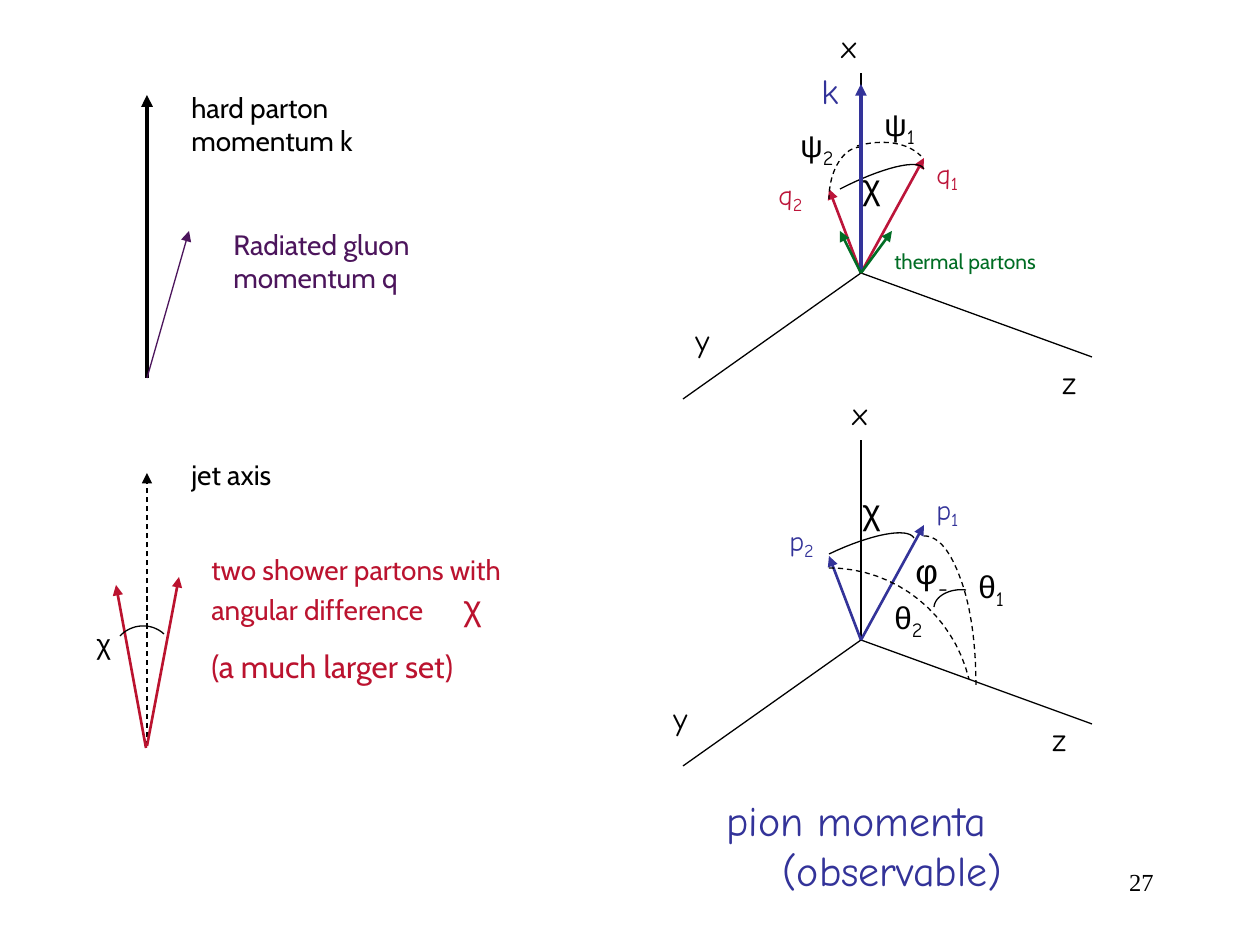
from lxml.etree import SubElement
from pptx import Presentation
from pptx.dml.color import RGBColor
from pptx.enum.dml import MSO_LINE
from pptx.enum.shapes import MSO_CONNECTOR
from pptx.enum.text import PP_ALIGN
from pptx.oxml.ns import qn
from pptx.util import Pt

PX = 914400 / 126
COLORS = {
    "black": "000000", "purple": "4C155C", "red": "BB132F",
    "crimson": "BC153A", "blue": "333399", "green": "006D24",
}
SANS, HAND, GREEK, SERIF = "Cabin", "Comic Neue", "Arial", "Times New Roman"


def emu(px):
    return round(px * PX)


def rgb(name):
    return RGBColor.from_string(COLORS[name])


def bezier(p0, p1, p2, p3, steps=16):
    for i in range(1, steps + 1):
        t = i / steps
        u = 1 - t
        weights = (u**3, 3 * u * u * t, 3 * u * t * t, t**3)
        yield tuple(sum(w * p[axis] for w, p in zip(weights, (p0, p1, p2, p3)))
                    for axis in (0, 1))


class Region:
    """Draws on slide s with lengths in px from the region's top left corner."""

    def __init__(self, s, left, top):
        self.s, self.left, self.top = s, left, top

    def point(self, x, y):
        return emu(self.left + x), emu(self.top + y)

    def style_line(self, sp, color, width, dash):
        sp.line.color.rgb = rgb(color)
        sp.line.width = Pt(width)
        if dash:
            sp.line.dash_style = MSO_LINE.DASH

    def line(self, start, end, color="black", width=0.75, dash=False, arrow=True):
        sp = self.s.shapes.add_connector(
            MSO_CONNECTOR.STRAIGHT, *self.point(*start), *self.point(*end))
        self.style_line(sp, color, width, dash)
        if arrow:
            SubElement(sp.line._get_or_add_ln(), qn("a:tailEnd"), type="triangle")
        SubElement(sp._element.spPr, qn("a:effectLst"))

    def arc(self, *points, dash=False):
        """Draws cubic curves: a start, then three points for each curve."""
        builder = self.s.shapes.build_freeform(*self.point(*points[0]), scale=1.0)
        for i in range(0, len(points) - 1, 3):
            curve = bezier(*points[i:i + 4])
            builder.add_line_segments([self.point(*pt) for pt in curve], close=False)
        sp = builder.convert_to_shape()
        sp.fill.background()
        sp.shadow.inherit = False
        self.style_line(sp, "black", 0.75, dash)

    def text(self, box, *paragraphs, color="black", align=PP_ALIGN.LEFT,
             before=0, indent=0, tab=None):
        """Each paragraph lists runs of (text, size, font[, baseline %]).

        before and indent apply from the second paragraph on.
        """
        x, y, w, h = box
        tf = self.s.shapes.add_textbox(*self.point(x, y), emu(w), emu(h)).text_frame
        tf.word_wrap = True
        for i, runs in enumerate(paragraphs):
            p = tf.add_paragraph() if i else tf.paragraphs[0]
            p.alignment = align
            pPr = p._p.get_or_add_pPr()
            if i:
                p.space_before = Pt(before)
                pPr.set("marL", str(emu(indent)))
            if tab:
                tabs = SubElement(pPr, qn("a:tabLst"))
                SubElement(tabs, qn("a:tab"), pos=str(emu(tab)), algn="l")
            for value, size, font, *base in runs:
                r = p.add_run()
                r.text = value
                r.font.size, r.font.name = Pt(size), font
                r.font.color.rgb = rgb(color)
                if base:
                    r.font._element.set("baseline", str(base[0] * 1000))

    def vector_label(self, x, y, letter, index, color):
        self.text((x, y, 73, 54), [(letter, 16, HAND), (index, 18, HAND, -18)],
                  color=color)

    def angle_label(self, x, y, letter, index):
        self.text((x, y, 84, 60), [(letter, 18, GREEK), (index, 20, HAND, -25)])


def draw_gluon_radiation(s, left, top):
    g = Region(s, left, top)
    origin = (0, 294)
    g.line(origin, (0, 11), width=2.25)
    g.line(origin, (42, 147), "purple")
    g.text((32, 0, 231, 81), [("hard parton momentum k", 16, SANS)])
    g.text((74, 137, 231, 81), [("Radiated gluon momentum q", 16, SANS)],
           color="purple")


def draw_jet(s, left, top):
    g = Region(s, left, top)
    g.line((63, 295), (63, 22), dash=True)
    g.line((63, 295), (95, 126), "red", 1.5)
    g.line((62, 297), (32, 134), "red", 1.5)
    g.arc((36, 185), (47, 173), (67, 171), (80, 183))
    g.text((0, 169, 42, 47), [("χ", 16, GREEK)])
    g.text((115, 95, 325, 180),
           [("two shower partons with angular difference \t", 16, SANS),
            ("χ", 20, GREEK)],
           [("(a much larger set)", 18, SANS)],
           color="red", before=11.2, tab=252)
    g.text((95, 0, 126, 47), [("jet axis", 16, SANS)])


def draw_axes(g, labels, vector_color):
    """Draws x, y, z axes with two vectors and returns their origin."""
    origin = (200, 252)
    for end in ((200, 52), (431, 336), (22, 378)):
        g.line(origin, end, arrow=False)
    for end in ((263, 137), (168, 168)):
        g.line(origin, end, vector_color, 1.5)
    for name, (x, y) in labels.items():
        g.text((x, y, 73, 50), [(name, 18, HAND)])
    return origin


def draw_parton_space(s, left, top):
    g = Region(s, left, top)
    labels = {"x": (168, 0), "y": (22, 294), "z": (389, 336)}
    origin = draw_axes(g, labels, "crimson")
    g.arc((200, 126), (183, 126), (168, 149), (168, 178), dash=True)
    g.arc((196, 125), (221, 118), (246, 121), (260, 135), dash=True)
    g.arc((179, 168), (220, 147), (258, 137), (263, 148))
    g.line(origin, (200, 63), "blue", 2.25)
    g.vector_label(105, 147, "q", "2", "crimson")
    g.vector_label(263, 126, "q", "1", "crimson")
    g.text((189, 137, 42, 55), [("χ", 20, GREEK)])
    g.angle_label(127, 95, "ψ", "2")
    g.angle_label(211, 74, "ψ", "1")
    g.text((148, 42, 63, 55), [("k", 20, HAND)], color="blue")
    for end in ((231, 210), (179, 210)):
        g.line(origin, end, "green", 1.5)
    g.text((221, 221, 189, 38), [("thermal partons", 12, SANS)], color="green")


def draw_pion_space(s, left, top):
    g = Region(s, left, top)
    draw_axes(g, {"x": (179, 0), "y": (0, 305), "z": (379, 326)}, "blue")
    g.arc((263, 148), (278, 148), (290, 164), (300, 192),
          (310, 219), (315, 257), (315, 297), dash=True)
    g.arc((168, 180), (235, 180), (292, 226), (308, 291), dash=True)
    g.arc((168, 166), (210, 146), (247, 139), (253, 150))
    g.arc((305, 202), (289, 200), (274, 208), (273, 219))
    g.vector_label(116, 126, "p", "2", "blue")
    g.vector_label(263, 95, "p", "1", "blue")
    g.text((189, 95, 73, 55), [("χ", 20, GREEK)])
    g.angle_label(305, 169, "θ", "1")
    g.angle_label(221, 200, "θ", "2")
    g.text((242, 148, 73, 72), [("φ", 20, GREEK), ("-", 24, HAND, -29)])
    g.text((53, 400, 357, 113), [("pion momenta", 24, HAND)],
           [("(observable)", 24, HAND)], color="blue", indent=56)


def draw_page_number(s, left, top):
    Region(s, left, top).text((0, 0, 263, 63), [("27", 14, SERIF)],
                              align=PP_ALIGN.RIGHT)


def main():
    prs = Presentation()
    prs.slide_width, prs.slide_height = emu(1260), emu(945)
    s = prs.slides.add_slide(prs.slide_layouts[6])
    draw_gluon_radiation(s, 147, 84)
    draw_jet(s, 84, 451)
    draw_parton_space(s, 661, 21)
    draw_pion_space(s, 661, 388)
    draw_page_number(s, 903, 861)
    prs.save("out.pptx")


if __name__ == "__main__":
    main()
